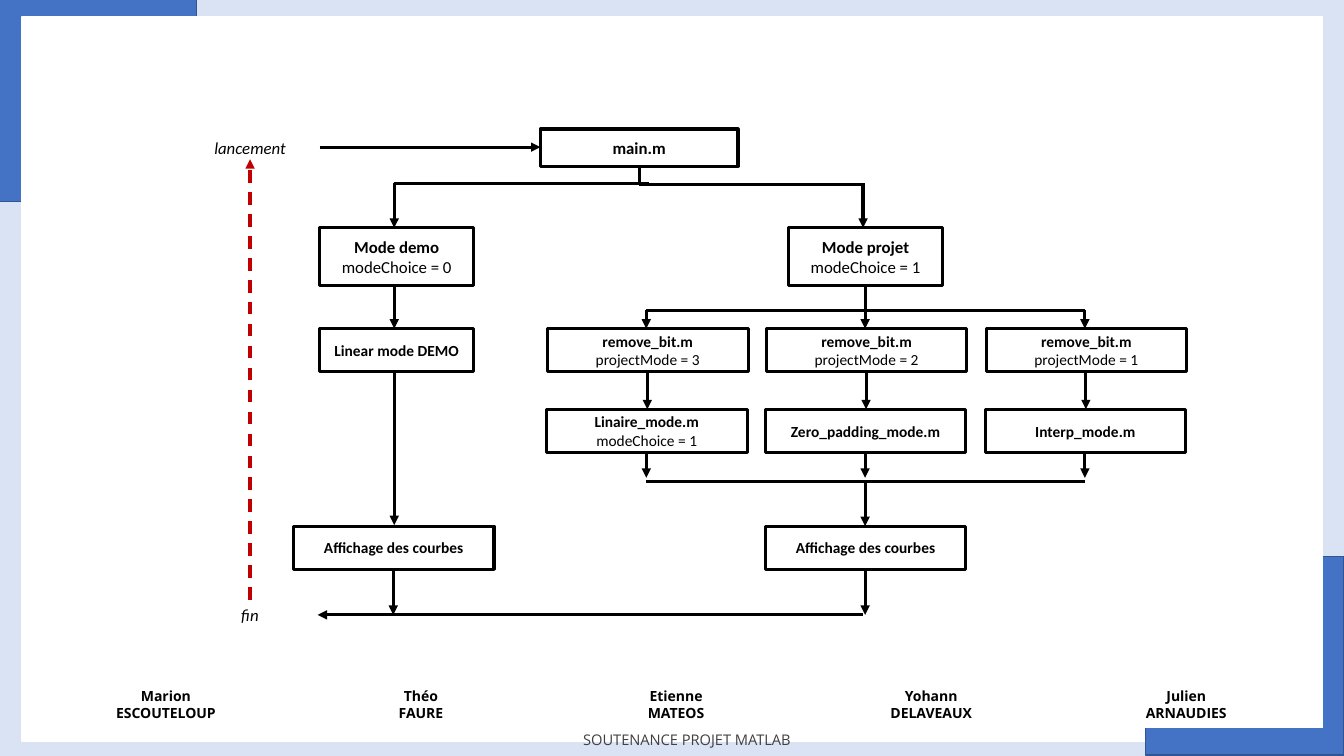
import pptx
import pptx.util
import pptx.dml.color
import pptx.enum.dml
import pptx.enum.shapes
import pptx.enum.text
import pptx.oxml
import pptx.oxml.ns

Inches = pptx.util.Inches
Pt = pptx.util.Pt
SHAPES = pptx.enum.shapes.MSO_SHAPE

COLORS = {
    "backdrop": "DAE3F3", "corner": "4472C4", "corner_edge": "325491",
    "panel": "FFFFFF", "ink": "000000", "footer": "404040", "loop": "C00000",
}
BRANCHES = [6.41, 8.58, 10.76]
DEMO_X = 3.91
BOX_WIDTH, BOX_HEIGHT = 1.99, 0.43
AUTHORS = [("Marion", "ESCOUTELOUP"), ("Théo", "FAURE"), ("Etienne", "MATEOS"),
           ("Yohann", "DELAVEAUX"), ("Julien", "ARNAUDIES")]


def rgb(key):
    """Return the named colour."""
    return pptx.dml.color.RGBColor.from_string(COLORS[key])


def write(frame, lines, size, font="Calibri", color="ink", bold=(False, False),
          italic=False, soft=False):
    """Write centred lines, parted by line breaks if soft, else by paragraphs."""
    frame.word_wrap = True
    paragraph = frame.paragraphs[0]
    for index, line in enumerate(lines):
        if index and soft:
            paragraph.add_line_break()
        elif index:
            paragraph = frame.add_paragraph()
        paragraph.alignment = pptx.enum.text.PP_ALIGN.CENTER
        run = paragraph.add_run()
        run.text = line
        run.font.size = Pt(size)
        run.font.name = font
        run.font.bold = bold[index]
        run.font.italic = italic
        run.font.color.rgb = rgb(color)


def add_figure(slide, kind, at, fill, edge, weight):
    """Add a preset shape with its fill and outline; no fill if None."""
    figure = slide.shapes.add_shape(kind, *map(Inches, at))
    figure.shadow.inherit = False
    if fill:
        figure.fill.solid()
        figure.fill.fore_color.rgb = rgb(fill)
    else:
        figure.fill.background()
    figure.line.color.rgb = rgb(edge)
    figure.line.width = Pt(weight)
    return figure


def add_corner(slide, at, rotation):
    """Add a blue corner bracket."""
    corner = add_figure(slide, SHAPES.CORNER, at, "corner", "corner_edge", 1)
    corner.adjustments[0] = 0.284
    corner.adjustments[1] = 0.228
    corner.rotation = rotation


def add_step(slide, left, top, lines, width=BOX_WIDTH, height=BOX_HEIGHT,
             size=11, soft=False):
    """Add a flowchart box with a bold first line."""
    step = add_figure(slide, SHAPES.RECTANGLE, (left, top, width, height),
                      None, "ink", 2.25)
    step.text_frame.vertical_anchor = pptx.enum.text.MSO_ANCHOR.MIDDLE
    write(step.text_frame, lines, size, bold=(True, False), soft=soft)


def add_label(slide, at, lines, size, grow=False, **style):
    """Add a text box."""
    frame = slide.shapes.add_textbox(*map(Inches, at)).text_frame
    write(frame, lines, size, **style)
    if grow:
        frame.auto_size = pptx.enum.text.MSO_AUTO_SIZE.SHAPE_TO_FIT_TEXT


def add_link(slide, x1, y1, x2, y2, arrow=True, color="ink", dashed=False):
    """Add a straight line, with an arrowhead at its end if wanted."""
    link = slide.shapes.add_connector(pptx.enum.shapes.MSO_CONNECTOR.STRAIGHT,
                                      *map(Inches, (x1, y1, x2, y2)))
    link.line.color.rgb = rgb(color)
    link.line.width = Pt(2.25)
    if dashed:
        link.line.dash_style = pptx.enum.dml.MSO_LINE.DASH
    if arrow:
        head = pptx.oxml.parse_xml(
            "<a:tailEnd %s type='triangle'/>" % pptx.oxml.ns.nsdecls("a"))
        link.line._get_or_add_ln().append(head)
    link._element.spPr.append(pptx.oxml.parse_xml(
        "<a:effectLst %s/>" % pptx.oxml.ns.nsdecls("a")))


def add_frame(slide):
    """Add the backdrop, corners, white panels and footer."""
    slide.background.fill.solid()
    slide.background.fill.fore_color.rgb = rgb("backdrop")
    add_corner(slide, (-0.04, 0.01, 2.01, 1.97), 90)
    add_corner(slide, (11.35, 5.54, 2.01, 1.97), 270)
    add_figure(slide, SHAPES.RECTANGLE, (0.22, 0.17, 12.9, 7.18),
               "panel", "panel", 1)
    add_label(slide, (4.13, 7.2, 5.37, 0.29), ["SOUTENANCE PROJET MATLAB"],
              10.5, grow=True, font="Open Sans", color="footer")
    add_corner(slide, (11.36, 5.52, 1.97, 1.97), 270)
    add_figure(slide, SHAPES.RECTANGLE, (0.25, 0.17, 12.87, 7.05),
               "panel", "panel", 1)


def add_authors(slide):
    """Add the evenly spaced row of author names."""
    for index, name in enumerate(AUTHORS):
        add_label(slide, (0.7 + 2.53 * index, 6.77, 1.89, 0.62), name, 10,
                  font="Open Sans", bold=(True, True), soft=True)


def add_start(slide):
    """Add main.m and its split into the two modes."""
    add_step(slide, 5.36, 1.28, ["main.m"], 1.96, 0.37, 12)
    add_link(slide, 3.17, 1.46, 5.36, 1.46)
    add_link(slide, 6.34, 1.64, 6.34, 1.82, arrow=False)
    add_link(slide, DEMO_X, 1.82, 6.44, 1.82, arrow=False)
    add_link(slide, 6.34, 1.83, 8.56, 1.83, arrow=False)
    for left, mode, choice in [(3.17, "demo", 0), (7.82, "projet", 1)]:
        add_step(slide, left, 2.26, [f"Mode {mode}", f"modeChoice = {choice}"],
                 1.53, 0.57, 12, soft=True)
        add_link(slide, left + 0.74, 1.82, left + 0.74, 2.26)


def add_demo(slide):
    """Add the demo column."""
    add_link(slide, DEMO_X, 2.83, DEMO_X, 3.26)
    add_step(slide, 3.17, 3.26, ["Linear mode DEMO"], 1.53)
    add_link(slide, DEMO_X, 3.7, DEMO_X, 5.21)


def add_project(slide):
    """Add the three project branches, from split to merge."""
    middle = BRANCHES[1]
    modes = [["Linaire_mode.m", "modeChoice = 1"],
             ["Zero_padding_mode.m"], ["Interp_mode.m"]]
    for x, number, mode in zip(BRANCHES, (3, 2, 1), modes):
        add_step(slide, x - 0.98, 3.26,
                 ["remove_bit.m", f"projectMode = {number}"])
        add_step(slide, x - 0.99, 4.06, mode)
        add_link(slide, x, 2.83 if x == middle else 3.08, x, 3.26)
        add_link(slide, x + 0.01, 3.7, x + 0.01, 4.06)
        add_link(slide, x, 4.49, x, 4.74)
    for y in (3.08, 4.78):
        add_link(slide, BRANCHES[0], y, BRANCHES[-1], y, arrow=False)
    add_link(slide, middle, 4.79, middle, 5.22)


def add_end(slide):
    """Add the curve displays, the end and the loop back to the launch."""
    for x in (3.9, BRANCHES[1]):
        add_step(slide, x - 0.99, 5.22, ["Affichage des courbes"])
        add_link(slide, x, 5.66, x, 6.1)
    add_link(slide, 8.56, 6.1, 3.15, 6.1)
    for top, word in [(1.32, "lancement"), (5.95, "fin")]:
        add_label(slide, (1.8, top, 1.36, 0.28), [word], 12, grow=True,
                  italic=True)
    add_link(slide, 2.48, 5.95, 2.48, 1.58, color="loop", dashed=True)


def main():
    """Build and save the slide."""
    deck = pptx.Presentation()
    deck.slide_width = Inches(13.33)
    deck.slide_height = Inches(7.5)
    slide = deck.slides.add_slide(deck.slide_layouts[6])
    for add_part in (add_frame, add_authors, add_start, add_demo,
                     add_project, add_end):
        add_part(slide)
    deck.save("out.pptx")


main()
